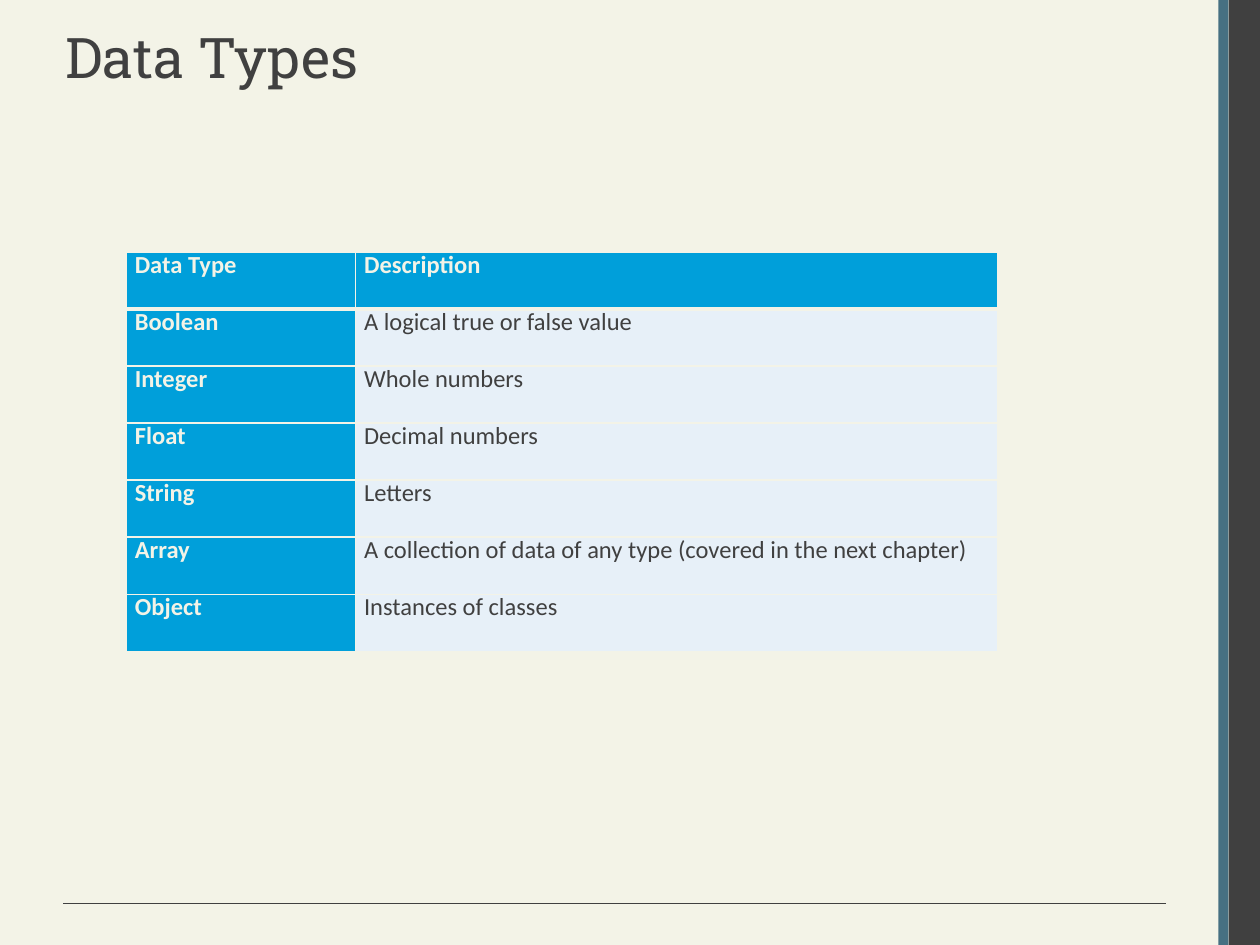
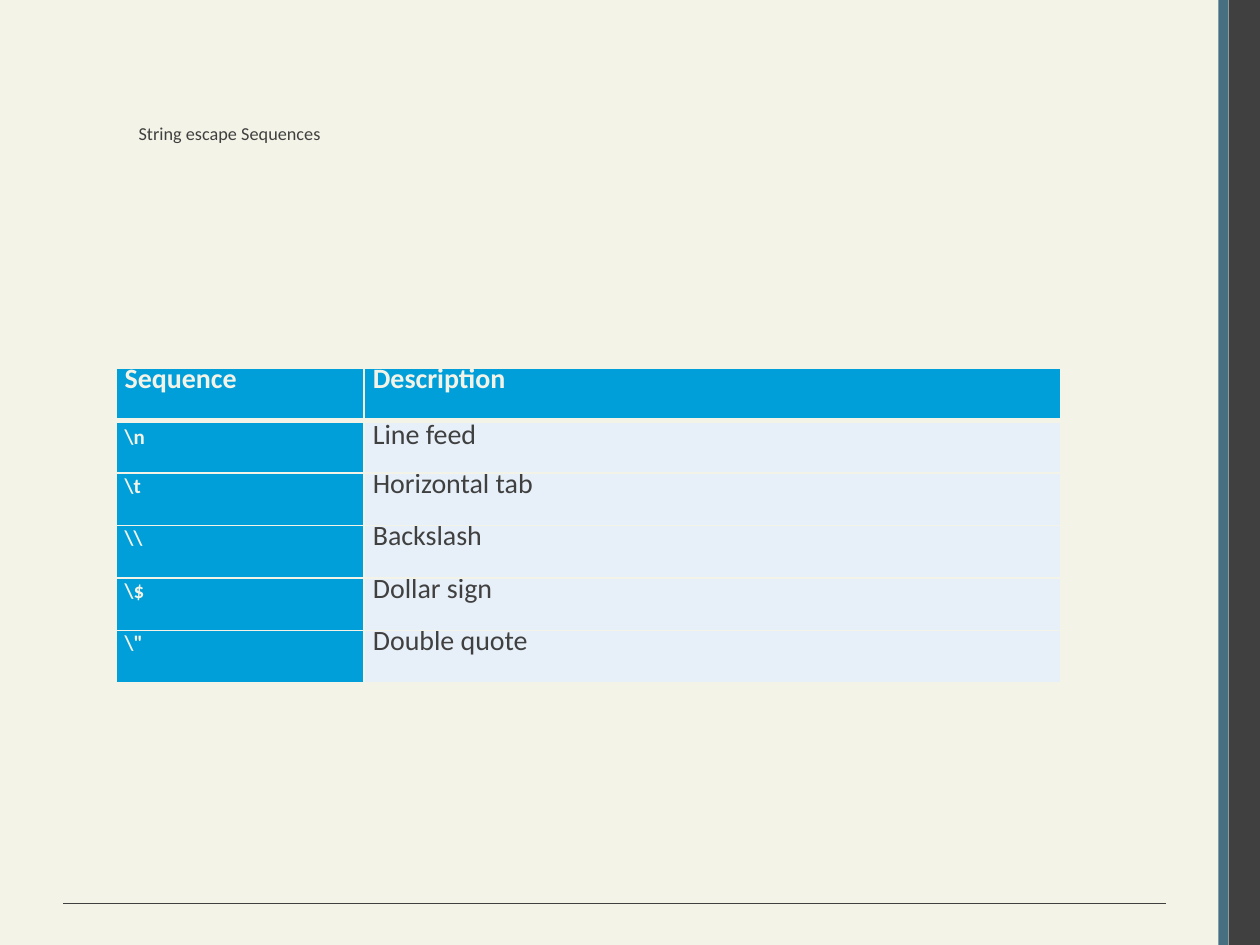
from lxml import etree
from pptx import Presentation
from pptx import util as u
from pptx.dml.color import RGBColor
from pptx.enum import shapes, text
from pptx.oxml import ns

INK = {"page": "F3F3E7", "dark": "404040", "teal": "467082",
       "head": "009FDA", "pale": "E7F0F8"}
TYPES = [
    ("Data Type", "Description"),
    ("Boolean", "A logical true or false value"),
    ("Integer", "Whole numbers"),
    ("Float", "Decimal numbers"),
    ("String", "Letters"),
    ("Array", "A collection of data of any type (covered in the next chapter)"),
    ("Object", "Instances of classes"),
]
CODES = [
    ("Sequence", "Description"),
    (r"\n", "Line feed"),
    (r"\t", "Horizontal tab"),
    (r"\\", "Backslash"),
    (r"\$", "Dollar sign"),
    (r"\"", "Double quote"),
]


def tint(name):
    """Return the named colour."""
    return RGBColor.from_string(INK[name])


def write(frame, words, size=14, font="Calibri", ink="dark", bold=False,
          lead=None, before=0, after=0):
    """Set one formatted paragraph in a text frame."""
    para = frame.paragraphs[0]
    para.alignment = text.PP_ALIGN.LEFT
    para.space_before, para.space_after = u.Pt(before), u.Pt(after)
    if lead:
        para.line_spacing = u.Pt(lead)
    run = para.add_run()
    run.text = words
    run.font.size, run.font.name, run.font.bold = u.Pt(size), font, bold
    run.font.color.rgb = tint(ink)
    return para


def fill_holder(holder, words, box, **style):
    """Move a placeholder and write plain top-aligned text in it."""
    holder.left, holder.top, holder.width, holder.height = map(u.Inches, box)
    frame = holder.text_frame
    frame.word_wrap = True
    frame.auto_size = text.MSO_AUTO_SIZE.NONE
    frame.vertical_anchor = text.MSO_ANCHOR.TOP
    props = write(frame, words, **style)._p.get_or_add_pPr()
    props.set("marL", "0")
    props.set("indent", "0")
    etree.SubElement(props, ns.qn("a:buNone"))


def add_band(slide, left, width, ink):
    """Draw a full-height band."""
    band = slide.shapes.add_shape(
        shapes.MSO_SHAPE.RECTANGLE, u.Inches(left), 0,
        u.Inches(width), u.Inches(7.5))
    band.shadow.inherit = False
    band.fill.solid()
    band.fill.fore_color.rgb = tint(ink)
    band.line.fill.background()


def add_frame(slide):
    """Draw the side bands and the foot rule."""
    add_band(slide, 9.75, 0.25, "dark")
    add_band(slide, 9.67, 0.08, "teal")
    rule = slide.shapes.add_connector(
        shapes.MSO_CONNECTOR.STRAIGHT, u.Inches(9.25), u.Inches(7.17),
        u.Inches(0.5), u.Inches(7.17))
    rule.line.color.rgb = tint("dark")
    rule.line.width = u.Pt(0.75)
    etree.SubElement(rule._element.spPr, ns.qn("a:effectLst"))


def add_edges(cell, base):
    """Set the cell borders, with the bottom width in points."""
    props = cell._tc.get_or_add_tcPr()
    for spot, (side, wide) in enumerate(
            [("L", 1), ("R", 1), ("T", 1), ("B", base)]):
        edge = etree.Element(ns.qn(f"a:ln{side}"), w=str(u.Pt(wide)))
        solid = etree.SubElement(edge, ns.qn("a:solidFill"))
        etree.SubElement(solid, ns.qn("a:srgbClr"), val=INK["page"])
        props.insert(spot, edge)


def add_grid(slide, rows, box, first, size, code=None, drop=0):
    """Add a table; drop lowers the first text row clear of the header."""
    left, top, width, height = box
    grid = slide.shapes.add_table(
        len(rows), 2, *map(u.Inches, box)).table
    for col, wide in zip(grid.columns, (first, width - first)):
        col.width = u.Inches(wide)
    for r, row in enumerate(rows):
        grid.rows[r].height = u.Inches(height / len(rows))
        shift = drop if r == 1 else 0
        for c, words in enumerate(row):
            cell = grid.cell(r, c)
            head = r == 0 or c == 0
            cell.margin_left = cell.margin_right = u.Inches(0.07)
            cell.margin_top, cell.margin_bottom = u.Pt(shift), 0
            cell.fill.solid()
            cell.fill.fore_color.rgb = tint("head" if head else "pale")
            add_edges(cell, 3 if r == 0 else 1)
            style = dict(size=size, lead=16, before=7, after=7 - shift)
            if code and r and c == 0:
                style.update(size=code, lead=15, after=0)
            write(cell.text_frame, words, bold=head,
                  ink="page" if head else "dark", **style)


def main():
    """Build both slides and save them."""
    deck = Presentation()
    deck.slide_width, deck.slide_height = u.Inches(10), u.Inches(7.5)
    back = deck.slide_master.background.fill
    back.solid()
    back.fore_color.rgb = tint("page")

    kinds = deck.slides.add_slide(deck.slide_layouts[5])
    add_frame(kinds)
    fill_holder(kinds.shapes.title, "Data Types", (0.42, 0.13, 9.08, 1.12),
                size=32, font="Roboto Slab")
    add_grid(kinds, TYPES, (1, 2, 6.92, 3.17), 1.82, 14)

    marks = deck.slides.add_slide(deck.slide_layouts[1])
    add_frame(marks)
    title = marks.shapes.title._element
    title.getparent().remove(title)
    add_grid(marks, CODES, (0.92, 2.92, 7.5, 2.5), 1.97, 16, code=12, drop=2)
    fill_holder(marks.placeholders[1], "String escape Sequences",
                (1, 0.92, 7, 0.33), size=10.4, after=12)
    deck.save("out.pptx")


if __name__ == "__main__":
    main()
